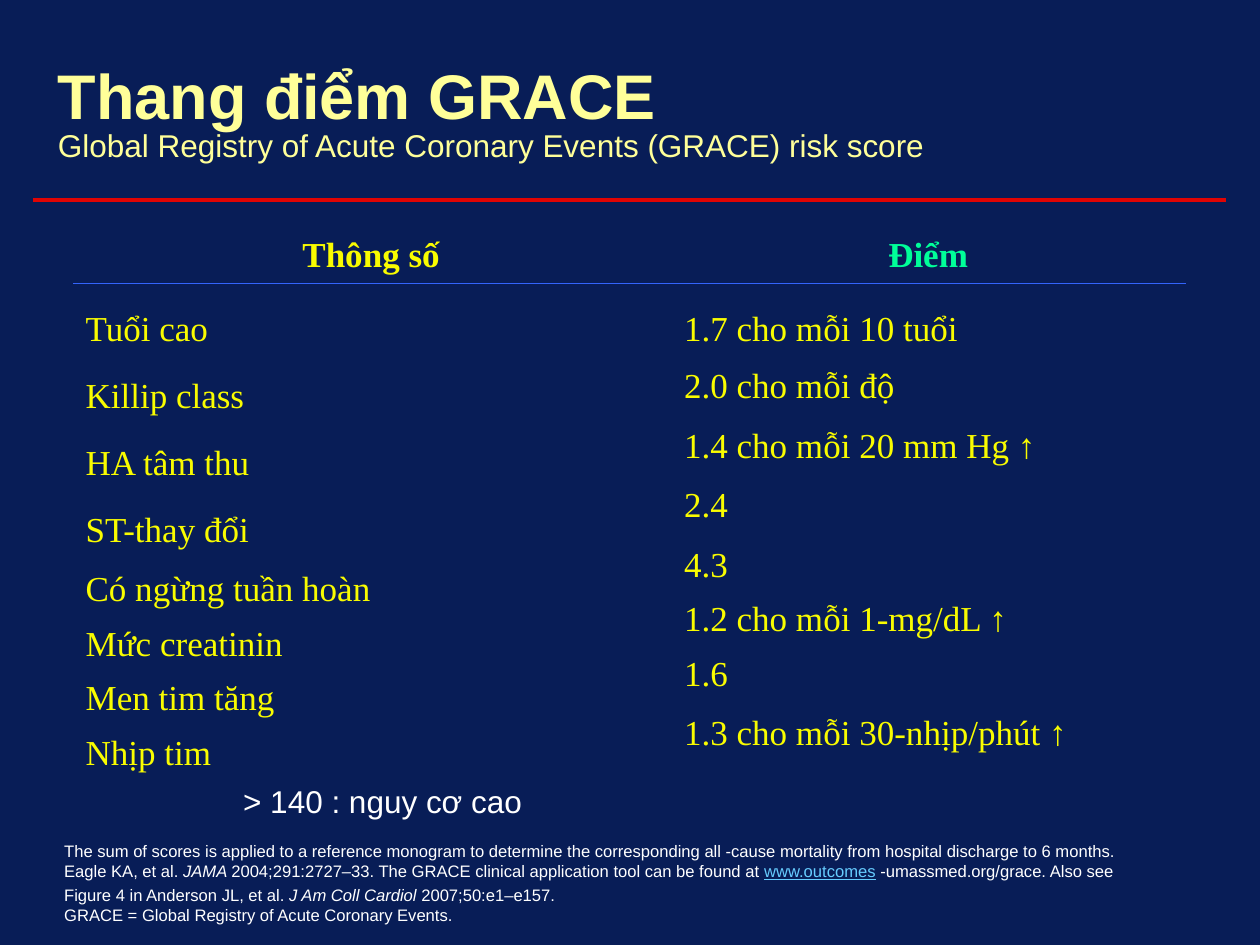
from dataclasses import dataclass

from lxml import etree
from pptx import Presentation
from pptx import util as u
from pptx.dml.color import RGBColor
from pptx.enum import shapes, text
from pptx.oxml import ns

PX = 9144
COLORS = {
    "background": "081D57",
    "title": "FFFF99",
    "red": "E00404",
    "rule": "3364FA",
    "yellow": "F9FC00",
    "green": "00FF99",
    "white": "FFFFFF",
    "link": "66CCFF",
}


@dataclass(frozen=True)
class Run:
    words: str
    italic: bool = False
    link: bool = False


@dataclass(frozen=True)
class Line:
    runs: tuple[Run, ...]
    spacing: float = 1.08
    before: float = 0


@dataclass(frozen=True)
class Style:
    font: str
    size: float
    color: str
    bold: bool = False


@dataclass(frozen=True)
class Block:
    left: int
    top: int
    width: int
    height: int
    style: Style
    lines: tuple[Line, ...]


@dataclass(frozen=True)
class Rule:
    left: int
    right: int
    y: int
    color: str
    weight: float


def line(words: str, spacing: float = 1.08, before: float = 0) -> Line:
    return Line((Run(words),), spacing, before)


def rgb(name: str) -> RGBColor:
    return RGBColor.from_string(COLORS[name])


def draw_rule(slide, rule: Rule) -> None:
    connector = slide.shapes.add_connector(
        shapes.MSO_CONNECTOR.STRAIGHT,
        rule.left * PX, rule.y * PX, rule.right * PX, rule.y * PX,
    )
    connector.line.color.rgb = rgb(rule.color)
    connector.line.width = u.Pt(rule.weight)
    etree.SubElement(connector._element.spPr, ns.qn("a:effectLst"))


def draw_block(slide, block: Block) -> None:
    box = slide.shapes.add_textbox(
        block.left * PX, block.top * PX, block.width * PX, block.height * PX
    )
    frame = box.text_frame
    frame.word_wrap = True
    frame.vertical_anchor = text.MSO_ANCHOR.TOP
    frame.margin_left = frame.margin_right = 0
    frame.margin_top = frame.margin_bottom = 0
    for index, item in enumerate(block.lines):
        paragraph = frame.add_paragraph() if index else frame.paragraphs[0]
        paragraph.line_spacing = item.spacing
        if item.before:
            paragraph.space_before = u.Pt(item.before)
        paragraph.font.name = block.style.font
        paragraph.font.size = u.Pt(block.style.size)
        paragraph.font.bold = block.style.bold
        paragraph.font.color.rgb = rgb(block.style.color)
        for part in item.runs:
            run = paragraph.add_run()
            run.text = part.words
            if part.italic:
                run.font.italic = True
            if part.link:
                run.font.underline = True
                run.font.color.rgb = rgb("link")


SERIF = "Times New Roman"
TITLE = Style("Arial", 36, "title", True)
SUBTITLE = Style("Arial", 18, "title")
PARAMETER_HEAD = Style(SERIF, 20, "yellow", True)
SCORE_HEAD = Style(SERIF, 20, "green", True)
BODY = Style(SERIF, 20, "yellow")
RISK = Style("Arial", 18, "white")
NOTE = Style("Arial", 9.5, "white")

RULES = [
    Rule(26, 973, 159, "red", 2.25),
    Rule(58, 941, 225, "rule", 0.75),
]

PARAMETERS = (
    line("Tuổi cao"),
    line("Killip class", 1.15, 10.2),
    line("HA tâm thu", 1.15, 10.8),
    line("ST-thay đổi", 1.15, 10.8),
    line("Có ngừng tuần hoàn", 0.96, 11.3),
    line("Mức creatinin", 0.96, 8.2),
    line("Men tim tăng", 0.96, 8.2),
    line("Nhịp tim", 0.96, 8.2),
)
SCORES = (
    line("1.7 cho mỗi 10 tuổi"),
    line("2.0 cho mỗi độ", 0.96, 10.2),
    line("1.4 cho mỗi 20 mm Hg ↑", 0.96, 10.9),
    line("2.4", 0.96, 10.8),
    line("4.3", 0.96, 10.9),
    line("1.2 cho mỗi 1-mg/dL ↑", 0.96, 8.2),
    line("1.6", 0.96, 8.2),
    line("1.3 cho mỗi 30-nhịp/phút ↑", 0.96, 10.9),
)
NOTES = (
    line("The sum of scores is applied to a reference monogram to determine the "
         "corresponding all -cause mortality from hospital discharge to 6 months.", 1.15),
    Line((
        Run("Eagle KA, et al. "),
        Run("JAMA ", italic=True),
        Run("2004;291:2727–33. The GRACE clinical application tool can be found at "),
        Run("www.outcomes", link=True),
        Run(" -umassmed.org/grace. Also see"),
    ), 0.96, 0.6),
    Line((
        Run("Figure 4 in Anderson JL, et al. "),
        Run("J Am Coll Cardiol ", italic=True),
        Run("2007;50:e1–e157."),
    ), 1.15, 0.8),
    line("GRACE = Global Registry of Acute Coronary Events.", 0.96, 0.6),
)

BLOCKS = [
    Block(46, 42, 500, 53, TITLE, (line("Thang điểm GRACE", 1.05),)),
    Block(46, 98, 720, 28, SUBTITLE,
          (line("Global Registry of Acute Coronary Events (GRACE) risk score"),)),
    Block(240, 182, 125, 31, PARAMETER_HEAD, (line("Thông số"),)),
    Block(705, 182, 80, 31, SCORE_HEAD, (line("Điểm"),)),
    Block(68, 241, 250, 350, BODY, PARAMETERS),
    Block(543, 241, 330, 350, BODY, SCORES),
    Block(193, 618, 240, 28, RISK, (line("> 140 : nguy cơ cao"),)),
    Block(51, 665, 900, 67, NOTE, NOTES),
]


def main() -> None:
    presentation = Presentation()
    presentation.slide_width = 1000 * PX
    presentation.slide_height = 750 * PX
    slide = presentation.slides.add_slide(presentation.slide_layouts[6])
    slide.background.fill.solid()
    slide.background.fill.fore_color.rgb = rgb("background")
    for rule in RULES:
        draw_rule(slide, rule)
    for block in BLOCKS:
        draw_block(slide, block)
    presentation.save("out.pptx")


if __name__ == "__main__":
    main()
